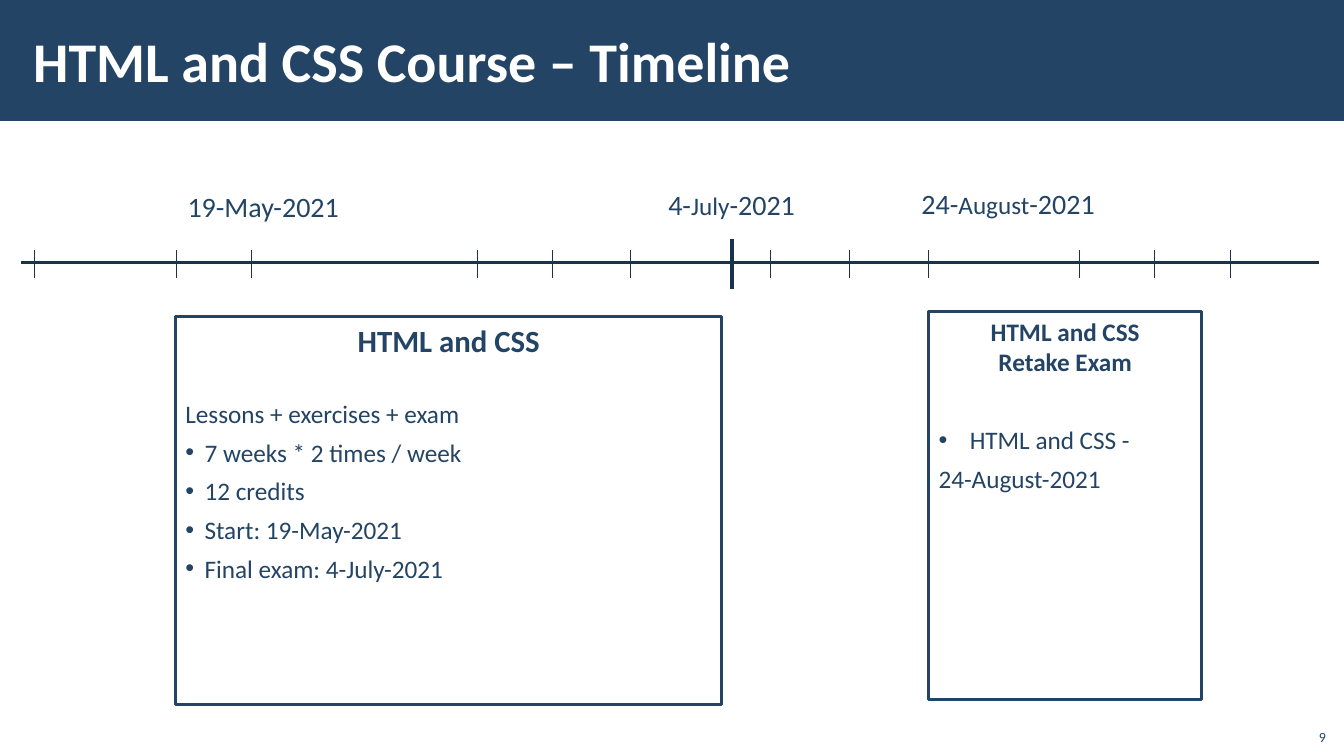
import pptx
import pptx.util
import pptx.dml.color
import pptx.enum.shapes
import pptx.enum.text
import lxml.etree

WIDE, HIGH = 13.33, 7.5
NAVY, DARK, WHITE = "234465", "1A334C", "FFFFFF"
FONT = "Calibri"

TITLE = "HTML and CSS Course – Timeline"
PAGE = "9"

# Dates: left, top, width, left inset, runs of (text, size)
DATES = [
    (1.74, 1.83, 1.76, 0.12, [("19-May-2021", 20)]),
    (6.53, 1.81, 1.47, 0.1, [("4-", 20), ("July", 18), ("-2021", 20)]),
    (9.04, 1.8, 2.01, 0.1, [("24-", 20), ("August", 18), ("-2021", 20)]),
]

# Timeline: axis height, ends, exam mark and week ticks
AXIS, START, END = 2.6, 0.21, 13.08
EXAM = 7.26
TICKS = [0.34, 1.75, 2.49, 4.73, 5.48, 6.25, 7.64, 8.42, 9.21, 10.71, 11.45, 12.2]

# Boxes: left, top, width, heading, heading size, bullet indent,
# space before the first line, space before and after the others,
# lines of (text, bulleted)
BOXES = [
    (1.74, 3.14, 5.42, "HTML and CSS", 22, 0.19, 25.5, 6, 0, [
        ("Lessons + exercises + exam", False),
        ("7 weeks * 2 times / week", True),
        ("12 credits", True),
        ("Start: 19-May-2021", True),
        ("Final exam: 4-July-2021", True),
    ]),
    (9.21, 3.09, 2.71, "HTML and CSS\vRetake Exam", 18, 0.31, 31, 3, 3, [
        ("HTML and CSS -", True),
        ("24-August-2021", False),
    ]),
]
DEEP = 3.85

inch, pt = pptx.util.Inches, pptx.util.Pt
ALIGN = pptx.enum.text.PP_ALIGN
ANCHOR = pptx.enum.text.MSO_ANCHOR
RECT = pptx.enum.shapes.MSO_SHAPE.RECTANGLE
STRAIGHT = pptx.enum.shapes.MSO_CONNECTOR.STRAIGHT

deck = pptx.Presentation()
deck.slide_width, deck.slide_height = inch(WIDE), inch(HIGH)
slide = deck.slides.add_slide(deck.slide_layouts[6])
shapes = slide.shapes


def hue(code):
    return pptx.dml.color.RGBColor.from_string(code)


def style(font, size, color=NAVY, bold=False):
    font.name, font.size, font.bold = FONT, pt(size), bold
    font.color.rgb = hue(color)


def block(left, top, width, height, fill, edge=None):
    shape = shapes.add_shape(RECT, inch(left), inch(top), inch(width), inch(height))
    shape.shadow.inherit = False
    shape.fill.solid()
    shape.fill.fore_color.rgb = hue(fill)
    if edge:
        shape.line.color.rgb = hue(edge)
        shape.line.width = pt(2)
    else:
        shape.line.fill.background()
    return shape


def label(left, top, width, height, inset=0.1, anchor=ANCHOR.TOP):
    frame = shapes.add_textbox(inch(left), inch(top), inch(width), inch(height)).text_frame
    frame.word_wrap = True
    frame.vertical_anchor = anchor
    frame.margin_left = inch(inset)
    return frame


def rule(x1, y1, x2, y2, weight):
    line = shapes.add_connector(STRAIGHT, inch(x1), inch(y1), inch(x2), inch(y2))
    line.line.color.rgb = hue(DARK)
    line.line.width = pt(weight)
    props = line._element.spPr
    lxml.etree.SubElement(props, pptx.oxml.ns.qn("a:effectLst"))


def bullet(para, indent):
    props = para._p.get_or_add_pPr()
    props.set("marL", str(inch(indent)))
    props.set("indent", str(-inch(indent)))
    for tag, key, value in (("a:buFont", "typeface", "Arial"), ("a:buChar", "char", "•")):
        lxml.etree.SubElement(props, pptx.oxml.ns.qn(tag)).set(key, value)


# Title band
block(0, 0, WIDE, 1.2, NAVY)
para = label(0.21, 0.11, 10.63, 0.97, 0.12, ANCHOR.MIDDLE).paragraphs[0]
para.text = TITLE
style(para.font, 40, WHITE, True)

# Timeline
rule(START, AXIS, END, AXIS, 2.25)
rule(EXAM, AXIS - 0.23, EXAM, AXIS + 0.27, 2.25)
for x in TICKS:
    rule(x, AXIS - 0.12, x, AXIS + 0.16, 0.5)

# Dates
for left, top, width, inset, runs in DATES:
    frame = label(left, top, width, 0.44, inset)
    frame.margin_right = 0
    for text, size in runs:
        run = frame.paragraphs[0].add_run()
        run.text = text
        style(run.font, size)

# Course boxes
for left, top, width, head, size, indent, gap, before, after, lines in BOXES:
    frame = block(left, top, width, DEEP, WHITE, NAVY).text_frame
    frame.word_wrap = True
    frame.vertical_anchor = ANCHOR.TOP
    para = frame.paragraphs[0]
    para.text = head
    para.alignment = ALIGN.CENTER
    para.space_before = para.space_after = pt(3)
    style(para.font, size, bold=True)
    for row, (text, dotted) in enumerate(lines):
        para = frame.add_paragraph()
        para.text = text
        para.alignment = ALIGN.LEFT
        para.space_before = pt(before if row else gap)
        para.space_after = pt(after)
        style(para.font, 18)
        if dotted:
            bullet(para, indent)

# Page number
para = label(12.85, 7.12, 0.4, 0.32, anchor=ANCHOR.BOTTOM).paragraphs[0]
para.text = PAGE
para.alignment = ALIGN.RIGHT
style(para.font, 10)

deck.save("out.pptx")
